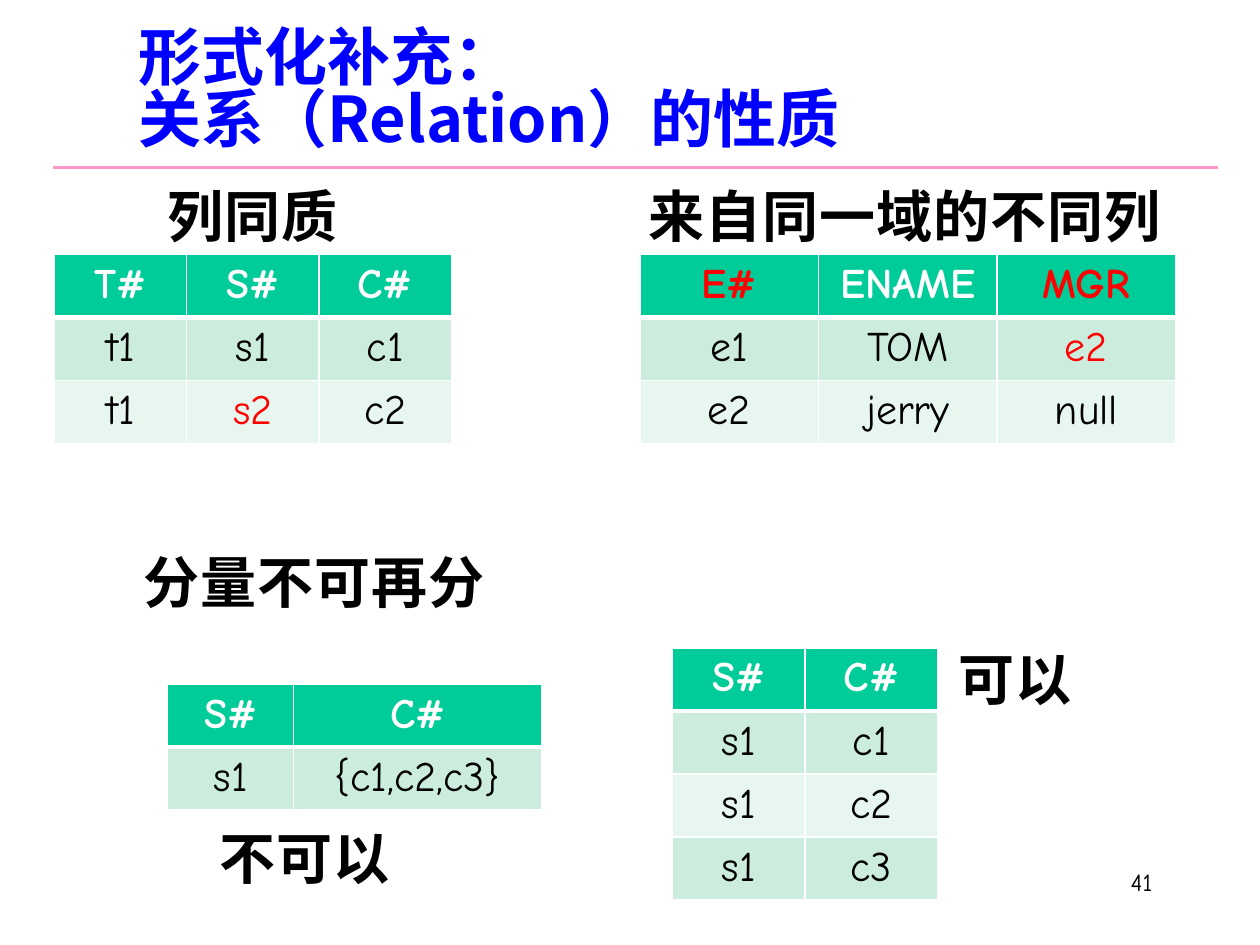
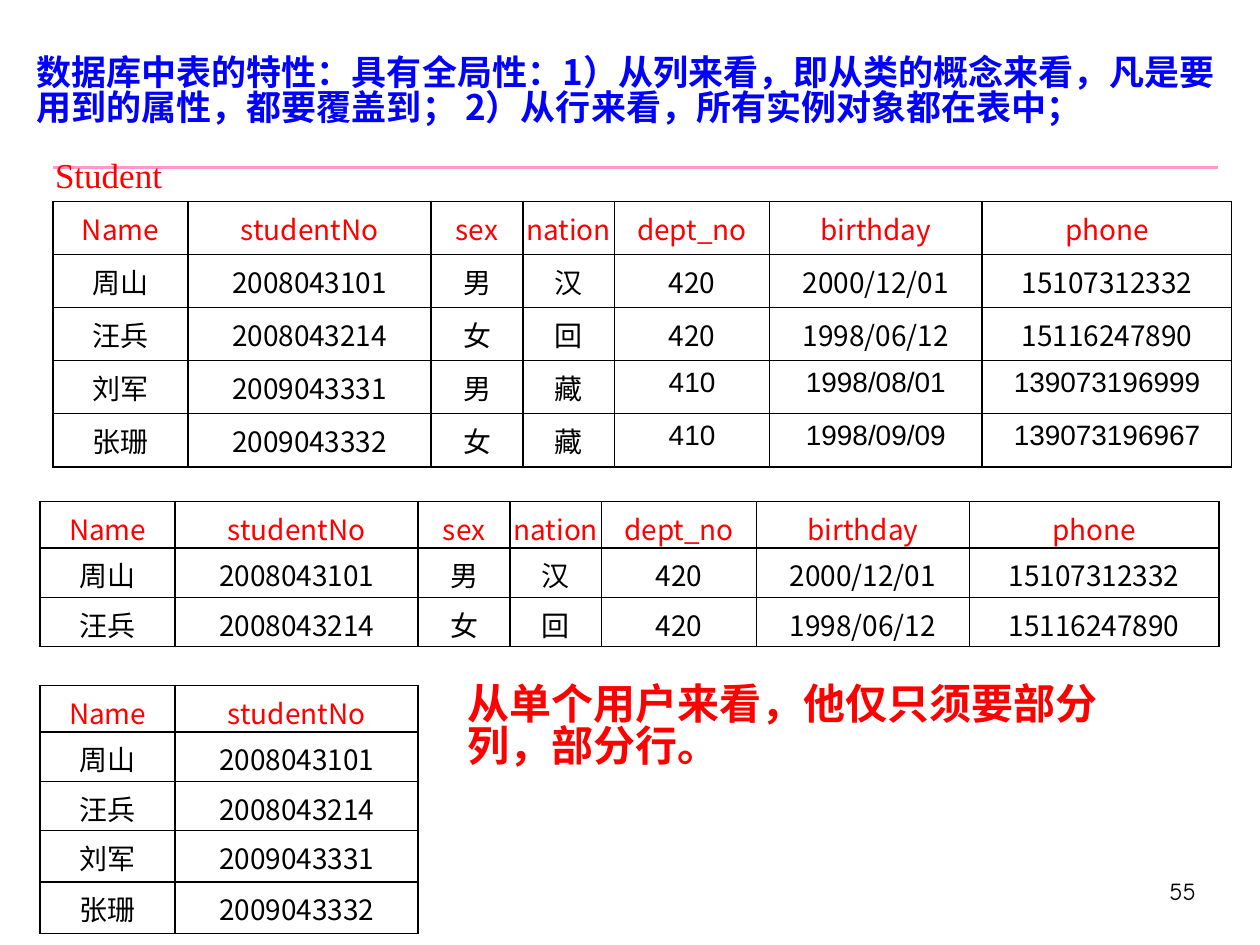
from dataclasses import dataclass
from itertools import product

from lxml.etree import SubElement
from pptx import Presentation
from pptx.dml.color import RGBColor as Rgb
from pptx.enum.shapes import MSO_CONNECTOR as Link
from pptx.enum.text import MSO_ANCHOR as Anchor, MSO_AUTO_SIZE as Fit, PP_ALIGN as Align
from pptx.oxml.ns import qn
from pptx.util import Cm, Pt


@dataclass(frozen=True)
class Theme:
    black: str = "000000"
    white: str = "FFFFFF"
    red: str = "FF0000"
    blue: str = "0000FF"
    pink: str = "FF99CC"
    green: str = "00CC99"
    bands: tuple = ("CCECDE", "E7F6EF")
    sans: str = "Noto Sans CJK SC"
    comic: str = "Comic Neue"
    serif: str = "Times New Roman"
    plain: str = "Arial"
    big: int = 36
    label: int = 32
    text: int = 24
    small: int = 20
    grid: int = 16
    page: int = 14
    tight: float = 0.83


class Deck:
    def __init__(self, theme):
        self.theme = theme
        self.show = Presentation()
        self.show.slide_width, self.show.slide_height = Cm(25.4), Cm(19.05)
        self.slide = None

    def run(self, para, text, size, color, font=None, bold=False):
        run = para.add_run()
        run.text = text
        face = run.font
        face.name = font or self.theme.sans
        face.size, face.bold = Pt(size), bold
        face.color.rgb = Rgb.from_string(color)
        SubElement(run._r.rPr, qn("a:ea")).set("typeface", face.name)
        return run

    def page(self, lines, size, left, width, number, spot):
        """Start a slide with its title, rule and page number."""
        self.slide = self.show.slides.add_slide(self.show.slide_layouts[5])
        self.rule()
        self.title(lines, size, left, width)
        frame = self.box(*spot, 5.28, 1.27)
        frame.paragraphs[0].alignment = Align.RIGHT
        self.run(frame.paragraphs[0], number, self.theme.page,
                 self.theme.black, self.theme.comic)

    def rule(self):
        line = self.slide.shapes.add_connector(
            Link.STRAIGHT, Cm(1.07), Cm(3.38), Cm(24.56), Cm(3.38))
        line.line.color.rgb = Rgb.from_string(self.theme.pink)
        line.line.width = Pt(1.5)
        SubElement(line._element.spPr, qn("a:effectLst"))

    def title(self, lines, size, left, width):
        title = self.slide.shapes.title
        title.left, title.top = Cm(left), Cm(0.5)
        title.width, title.height = Cm(width), Cm(2.74)
        frame = title.text_frame
        frame.auto_size, frame.word_wrap = Fit.NONE, True
        frame.vertical_anchor = Anchor.MIDDLE
        frame.margin_top = frame.margin_bottom = 0
        para = frame.paragraphs[0]
        para.alignment, para.line_spacing = Align.LEFT, self.theme.tight
        for at, line in enumerate(lines):
            if at:
                para.add_line_break()
            self.run(para, line, size, self.theme.blue, bold=True)

    def box(self, left, top, width, height, wrap=True):
        frame = self.slide.shapes.add_textbox(
            Cm(left), Cm(top), Cm(width), Cm(height)).text_frame
        frame.word_wrap = wrap
        return frame

    def label(self, text, left, top, width):
        frame = self.box(left, top, width, 1.63, wrap=False)
        frame.margin_top = frame.margin_bottom = 0
        frame.vertical_anchor = Anchor.MIDDLE
        para = frame.paragraphs[0]
        para.alignment = Align.CENTER
        run = self.run(para, text, self.theme.label, self.theme.black, bold=True)
        run._r.rPr.set("spc", "50")

    def note(self, text, left, top, width, height):
        frame = self.box(left, top, width, height)
        frame.margin_top = Cm(0.23)
        para = frame.paragraphs[0]
        para.line_spacing = self.theme.tight
        self.run(para, text, self.theme.text, self.theme.red, bold=True)

    def name(self, text, left, top, width, height):
        frame = self.box(left, top, width, height, wrap=False)
        frame.vertical_anchor = Anchor.MIDDLE
        self.run(frame.paragraphs[0], text, self.theme.small,
                 self.theme.red, self.theme.serif)

    def table(self, rows, left, top, cols, tall, paint):
        """Add a table; paint(cell, text, row, col) styles each cell."""
        table = self.slide.shapes.add_table(
            len(rows), len(cols), Cm(left), Cm(top), Cm(sum(cols)), Cm(sum(tall))).table
        table.first_row = table.horz_banding = False
        for col, width in zip(table.columns, cols):
            col.width = Cm(width)
        for row, height in zip(table.rows, tall):
            row.height = Cm(height)
        for r, c in product(range(len(rows)), range(len(cols))):
            cell = table.cell(r, c)
            cell.text_frame.paragraphs[0].alignment = Align.CENTER
            paint(cell, rows[r][c], r, c)

    def edge(self, cell, color, top=1, bottom=1):
        props = cell._tc.get_or_add_tcPr()
        for side, width in zip("LRTB", (1, 1, top, bottom)):
            line = SubElement(props, qn(f"a:ln{side}"), w=str(Pt(width)))
            fill = SubElement(line, qn("a:solidFill"))
            SubElement(fill, qn("a:srgbClr"), val=color)

    def banded(self, rows, left, top, cols, tall=1.27, marks=()):
        """Add a green table; marks are the cells with red text."""
        look = self.theme

        def paint(cell, text, r, c):
            head = r == 0
            self.edge(cell, look.white, top=3 if r == 1 else 1, bottom=3 if head else 1)
            cell.fill.solid()
            cell.fill.fore_color.rgb = Rgb.from_string(
                look.green if head else look.bands[(r - 1) % 2])
            base = look.white if head else look.black
            self.run(cell.text_frame.paragraphs[0], text, look.text,
                     look.red if (r, c) in marks else base, look.comic, head)

        self.table(rows, left, top, cols, [tall] * len(rows), paint)

    def ruled(self, rows, left, top, cols, tall, plain=()):
        """Add a black-ruled table; plain are the cells in the plain font."""
        look = self.theme

        def paint(cell, text, r, c):
            self.edge(cell, look.black)
            cell.fill.background()
            cell.margin_left = cell.margin_right = cell.margin_bottom = 0
            cell.margin_top = Cm(0.13)
            self.run(cell.text_frame.paragraphs[0], text, look.grid,
                     look.black if r else look.red,
                     look.plain if (r, c) in plain else look.sans)

        self.table(rows, left, top, cols, tall, paint)


STUDENTS = [
    ("Name", "studentNo", "sex", "nation", "dept_no", "birthday", "phone"),
    ("周山", "2008043101", "男", "汉", "420", "2000/12/01", "15107312332"),
    ("汪兵", "2008043214", "女", "回", "420", "1998/06/12", "15116247890"),
    ("刘军", "2009043331", "男", "藏", "410", "1998/08/01", "139073196999"),
    ("张珊", "2009043332", "女", "藏", "410", "1998/09/09", "139073196967"),
]
WIDTHS = [2.72, 4.9, 1.85, 1.85, 3.12, 4.29, 5.03]
HEIGHTS = [0.94, 0.99, 0.99, 1.04, 1.04]


def traits(deck):
    deck.page(["形式化补充：", "关系（Relation）的性质"], deck.theme.big,
              2.54, 21.6, "41", (18.2, 17.35))
    deck.banded([("T#", "S#", "C#"), ("t1", "s1", "c1"), ("t1", "s2", "c2")],
                1.09, 5.13, [2.67] * 3, 1.22, marks={(2, 1)})
    deck.banded([("E#", "ENAME", "MGR"), ("e1", "TOM", "e2"), ("e2", "jerry", "null")],
                12.9, 5.13, [3.6] * 3, marks={(0, 0), (0, 2), (1, 2)})
    deck.banded([("S#", "C#"), ("s1", "{c1,c2,c3}")], 3.38, 13.79, [2.54, 5])
    deck.banded([("S#", "C#"), ("s1", "c1"), ("s1", "c2"), ("s1", "c3")],
                13.56, 13.06, [2.67] * 2)
    for text, left, top, width in (
            ("列同质", 3.1, 3.53, 3.99),
            ("来自同一域的不同列", 12.78, 3.53, 10.92),
            ("分量不可再分", 2.54, 10.9, 7.59),
            ("不可以", 4.14, 16.46, 3.99),
            ("可以", 19.05, 12.85, 2.82)):
        deck.label(text, left, top, width)


def views(deck):
    deck.page(["数据库中表的特性：具有全局性：1）从列来看，即从类的概念来看，"
               "凡是要用到的属性，都要覆盖到； 2）从行来看，所有实例对象都在表中；"],
              deck.theme.small, 0.48, 24.92, "55", (19.08, 17.53))
    deck.ruled(STUDENTS, 1.07, 4.06, WIDTHS, [1.07] * 5,
               plain=set(product((3, 4), (4, 5, 6))))
    deck.name("Student", 0.86, 2.95, 2.67, 1.12)
    deck.ruled(STUDENTS[:3], 0.81, 10.11, WIDTHS, HEIGHTS[:3])
    deck.ruled([row[:2] for row in STUDENTS], 0.81, 13.82, WIDTHS[:2], HEIGHTS)
    deck.note("从单个用户来看，他仅只须要部分列，部分行。", 9.17, 13.61, 13.72, 2.31)


def main():
    deck = Deck(Theme())
    traits(deck)
    views(deck)
    deck.show.save("out.pptx")


if __name__ == "__main__":
    main()
